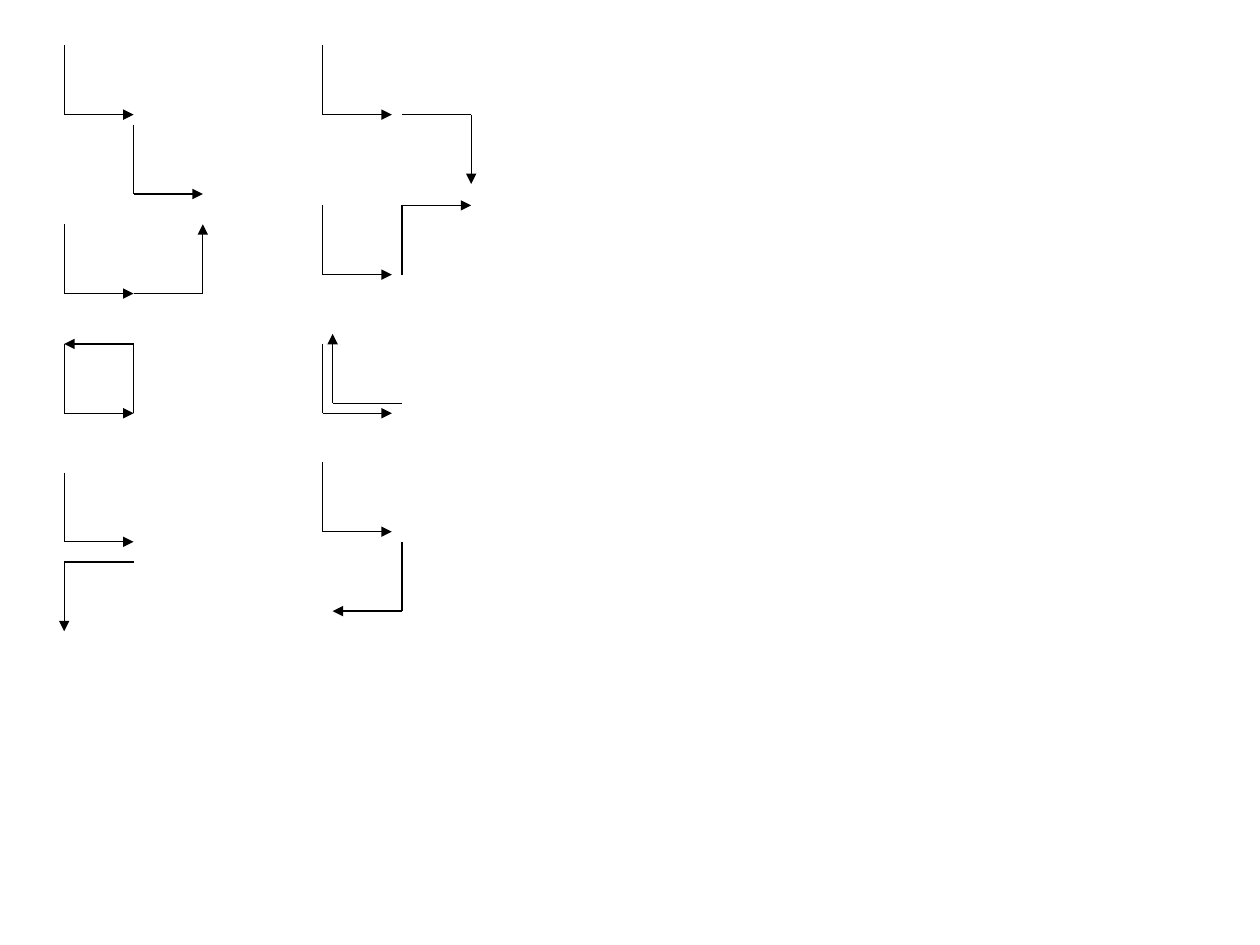
from pptx import Presentation
from pptx.dml.color import RGBColor
from pptx.enum.shapes import MSO_CONNECTOR as CONN
from pptx.oxml.ns import qn
from pptx.util import Inches, Pt
from lxml.etree import SubElement

COLORS = {"line": "000000"}
ARM = 0.55
LEFT, RIGHT = 0.51, 2.56
MID, RIGHT_MID, RIGHT_INNER = LEFT + ARM, 3.19, 2.64
STEPS = {"R": (ARM, 0), "L": (-ARM, 0), "D": (0, ARM), "U": (0, -ARM)}

ELBOWS = [
    (LEFT, 0.36, "DR"), (RIGHT_MID, 0.91, "RD"),
    (MID, 0.99, "DR"),
    (LEFT, 1.78, "DR"), (MID, 2.33, "RU"),
    (LEFT, 2.73, "DR"), (MID, 3.28, "UL"),
    (LEFT, 3.75, "DR"), (MID, 4.46, "LD"),
    (RIGHT, 0.36, "DR"), (RIGHT_MID, 2.18, "UR"),
    (RIGHT, 1.63, "DR"),
    (RIGHT_MID, 3.2, "LU"), (RIGHT, 2.73, "DR"),
    (RIGHT_MID, 4.3, "DL"), (RIGHT, 3.67, "DR"),
]


def add_line(shapes, start, end, arrow=False):
    """Draw a thin straight line, with an arrowhead at its end if asked."""
    c = shapes.add_connector(CONN.STRAIGHT, *map(Inches, start + end))
    c.line.width = Pt(0.75)
    c.line.color.rgb = RGBColor.from_string(COLORS["line"])
    if arrow:
        SubElement(c.line._get_or_add_ln(), qn("a:tailEnd"), type="triangle")
    SubElement(c._element.spPr, qn("a:effectLst"))


def add_elbow(s, x, y, directions):
    """Draw a grouped two-step path whose last step carries the arrowhead."""
    group = s.shapes.add_group_shape()
    start = (x, y)
    for i, direction in enumerate(directions):
        dx, dy = STEPS[direction]
        end = (start[0] + dx, start[1] + dy)
        add_line(group.shapes, start, end, arrow=i == len(directions) - 1)
        start = end


def main():
    """Build the slide of elbow arrow pairs."""
    prs = Presentation()
    prs.slide_width, prs.slide_height = Inches(10), Inches(7.5)
    s = prs.slides.add_slide(prs.slide_layouts[6])
    for x, y, directions in ELBOWS:
        add_elbow(s, x, y, directions)
    prs.save("out.pptx")


if __name__ == "__main__":
    main()
